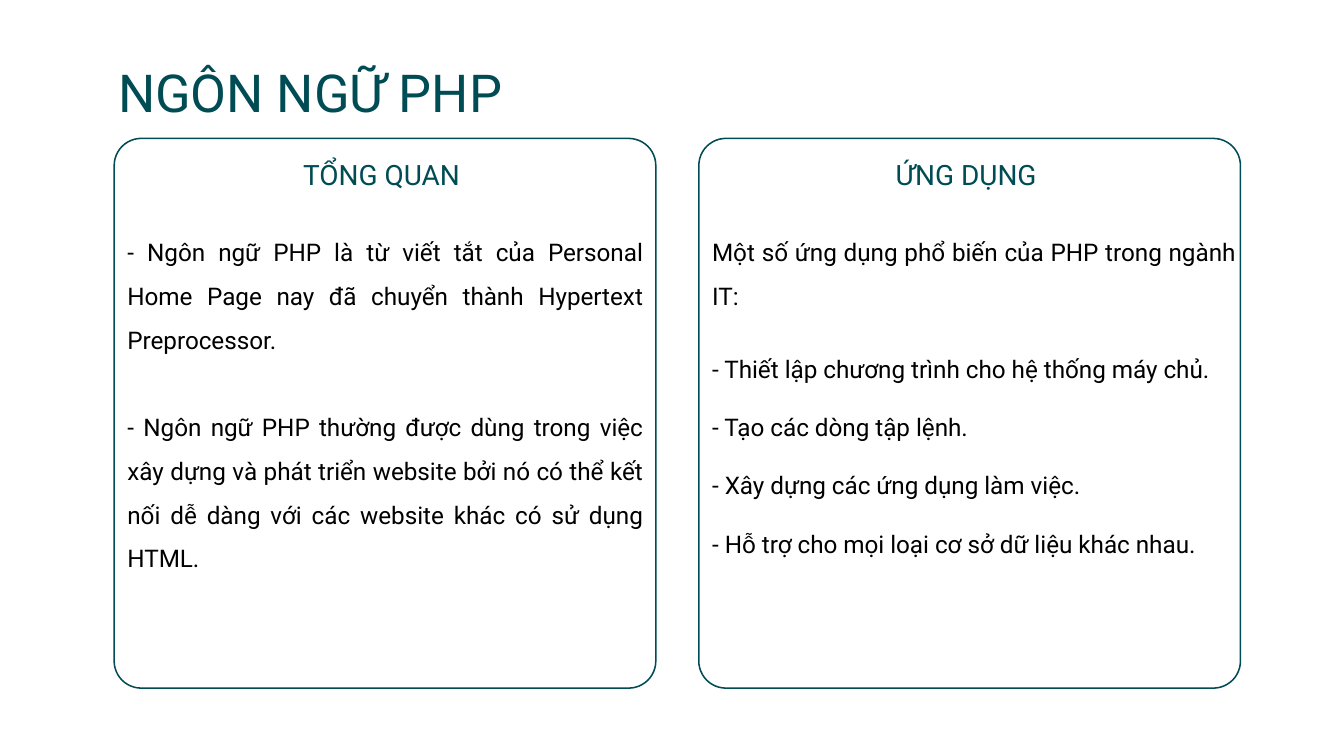
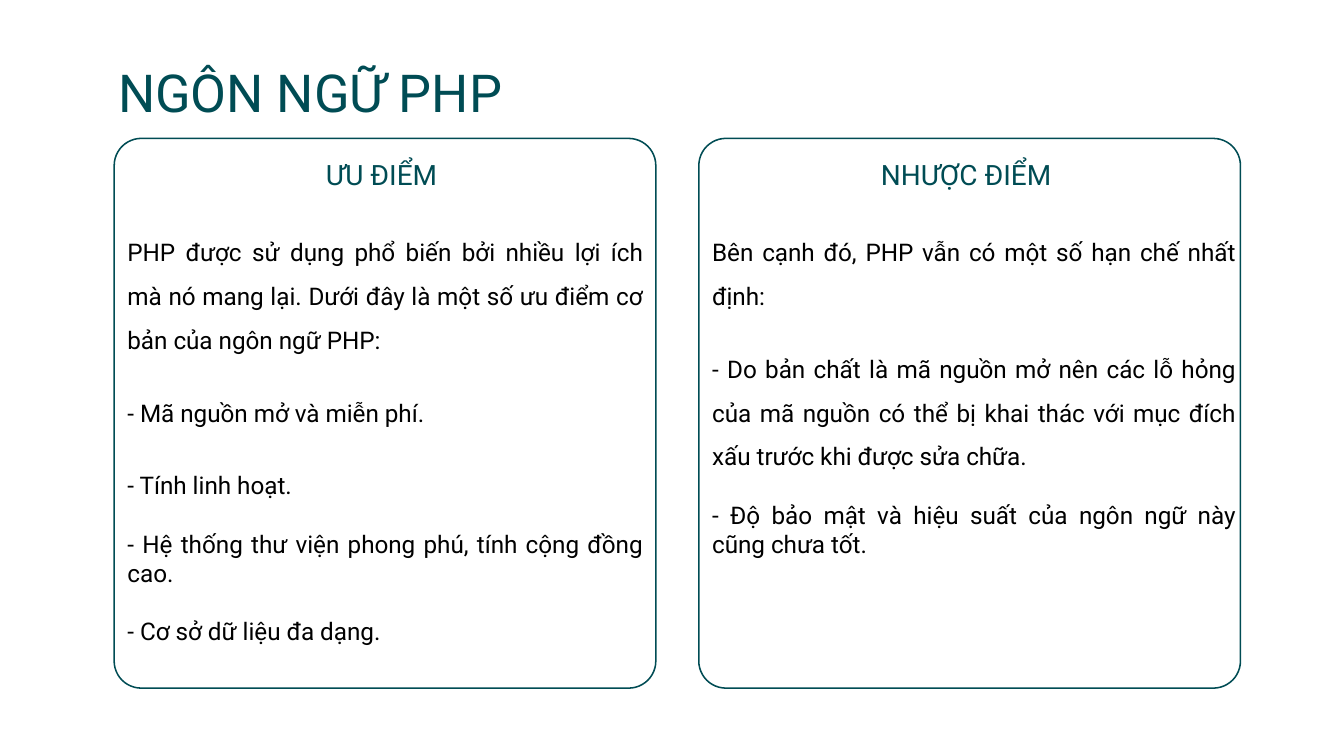
from pptx import Presentation
from pptx.dml.color import RGBColor
from pptx.enum.shapes import MSO_SHAPE as Shape
from pptx.enum.text import MSO_ANCHOR as Anchor, PP_ALIGN as Align
from pptx.util import Inches, Pt

# Shared style
TEAL = RGBColor(0x00, 0x4C, 0x54)
BLACK = RGBColor(0x00, 0x00, 0x00)
WHITE = RGBColor(0xFF, 0xFF, 0xFF)
FONT = "Roboto"
TITLE_SIZE, HEADING_SIZE, BODY_SIZE = 28, 15, 13
BODY_LINE = 15.6  # points in one single-spaced body line
WIDE, SINGLE = 1.5, 1.0

# Two-column grid, in inches
SLIDE_W, SLIDE_H = 10, 5.625
TITLE_LEFT, TITLE_TOP, TITLE_W = 0.78, 0.42, 8.45
COLUMN_LEFT, COLUMN_STEP, COLUMN_W = 0.85, 4.35, 4.03
CARD_TOP, CARD_H, BAND_H = 1.03, 4.09, 0.53
BODY_WIDTHS = (COLUMN_W, 4.09)
CORNER = 0.05

# Content: each body paragraph is (text, line spacing, blank lines before it)
TITLE = "NGÔN NGỮ PHP"
SLIDES = [
    [
        ("TỔNG QUAN ", [
            ("- Ngôn ngữ PHP là từ viết tắt của Personal Home Page nay đã "
             "chuyển thành Hypertext Preprocessor.", WIDE, 0),
            ("- Ngôn ngữ PHP thường được dùng trong việc xây dựng và phát triển "
             "website bởi nó có thể kết nối dễ dàng với các website khác có sử "
             "dụng HTML.", WIDE, 1.5),
        ]),
        ("ỨNG DỤNG ", [
            ("Một số ứng dụng phổ biến của PHP trong ngành IT:", WIDE, 0),
            ("- Thiết lập chương trình cho hệ thống máy chủ.", WIDE, 1),
            ("- Tạo các dòng tập lệnh.", SINGLE, 1),
            ("- Xây dựng các ứng dụng làm việc.", SINGLE, 1),
            ("- Hỗ trợ cho mọi loại cơ sở dữ liệu khác nhau.", SINGLE, 1),
        ]),
    ],
    [
        ("ƯU ĐIỂM ", [
            ("PHP được sử dụng phổ biến bởi nhiều lợi ích mà nó mang lại. Dưới "
             "đây là một số ưu điểm cơ bản của ngôn ngữ PHP:", WIDE, 0),
            ("- Mã nguồn mở và miễn phí.", WIDE, 1),
            ("- Tính linh hoạt.", WIDE, 1),
            ("- Hệ thống thư viện phong phú, tính cộng đồng cao.", SINGLE, 1),
            ("- Cơ sở dữ liệu đa dạng.", SINGLE, 1),
        ]),
        ("NHƯỢC ĐIỂM ", [
            ("Bên cạnh đó, PHP vẫn có một số hạn chế nhất định:", WIDE, 0),
            ("- Do bản chất là mã nguồn mở nên các lỗ hỏng của mã nguồn có thể "
             "bị khai thác với mục đích xấu trước khi được sửa chữa.", WIDE, 1),
            ("- Độ bảo mật và hiệu suất của ngôn ngữ này cũng chưa tốt.",
             SINGLE, 1),
        ]),
    ],
]


def add_text(slide, box, paragraphs, size, color, align, anchor=Anchor.MIDDLE):
    frame = slide.shapes.add_textbox(*map(Inches, box)).text_frame
    frame.word_wrap = True
    frame.vertical_anchor = anchor
    frame.margin_left = frame.margin_right = Inches(0.1)
    frame.margin_top = frame.margin_bottom = Inches(0.1)
    for index, (text, spacing, gap) in enumerate(paragraphs):
        paragraph = frame.add_paragraph() if index else frame.paragraphs[0]
        paragraph.alignment = align
        paragraph.line_spacing = spacing
        paragraph.space_before = Pt(gap * BODY_LINE)
        run = paragraph.add_run()
        run.text = text
        run.font.name = FONT
        run.font.size = Pt(size)
        run.font.color.rgb = color


def add_outline(slide, left):
    outline = slide.shapes.add_shape(
        Shape.ROUNDED_RECTANGLE,
        *map(Inches, (left, CARD_TOP, COLUMN_W, CARD_H)))
    outline.adjustments[0] = CORNER
    outline.shadow.inherit = False
    outline.fill.background()
    outline.line.color.rgb = TEAL
    outline.line.width = Pt(0.81)


def add_card(slide, column, heading, body):
    left = COLUMN_LEFT + column * COLUMN_STEP
    add_outline(slide, left)
    add_text(slide, (left, CARD_TOP, COLUMN_W, BAND_H),
             [(heading, SINGLE, 0)], HEADING_SIZE, TEAL, Align.CENTER)
    add_text(slide,
             (left, CARD_TOP + BAND_H, BODY_WIDTHS[column], CARD_H - BAND_H),
             body, BODY_SIZE, BLACK, Align.JUSTIFY, Anchor.TOP)


def add_titled_slide(deck):
    slide = deck.slides.add_slide(deck.slide_layouts[6])
    slide.background.fill.solid()
    slide.background.fill.fore_color.rgb = WHITE
    add_text(slide, (TITLE_LEFT, TITLE_TOP, TITLE_W, BAND_H),
             [(TITLE, SINGLE, 0)], TITLE_SIZE, TEAL, Align.LEFT)
    return slide


def main():
    deck = Presentation()
    deck.slide_width, deck.slide_height = Inches(SLIDE_W), Inches(SLIDE_H)
    for cards in SLIDES:
        slide = add_titled_slide(deck)
        for column, (heading, body) in enumerate(cards):
            add_card(slide, column, heading, body)
    deck.save("out.pptx")


if __name__ == "__main__":
    main()
